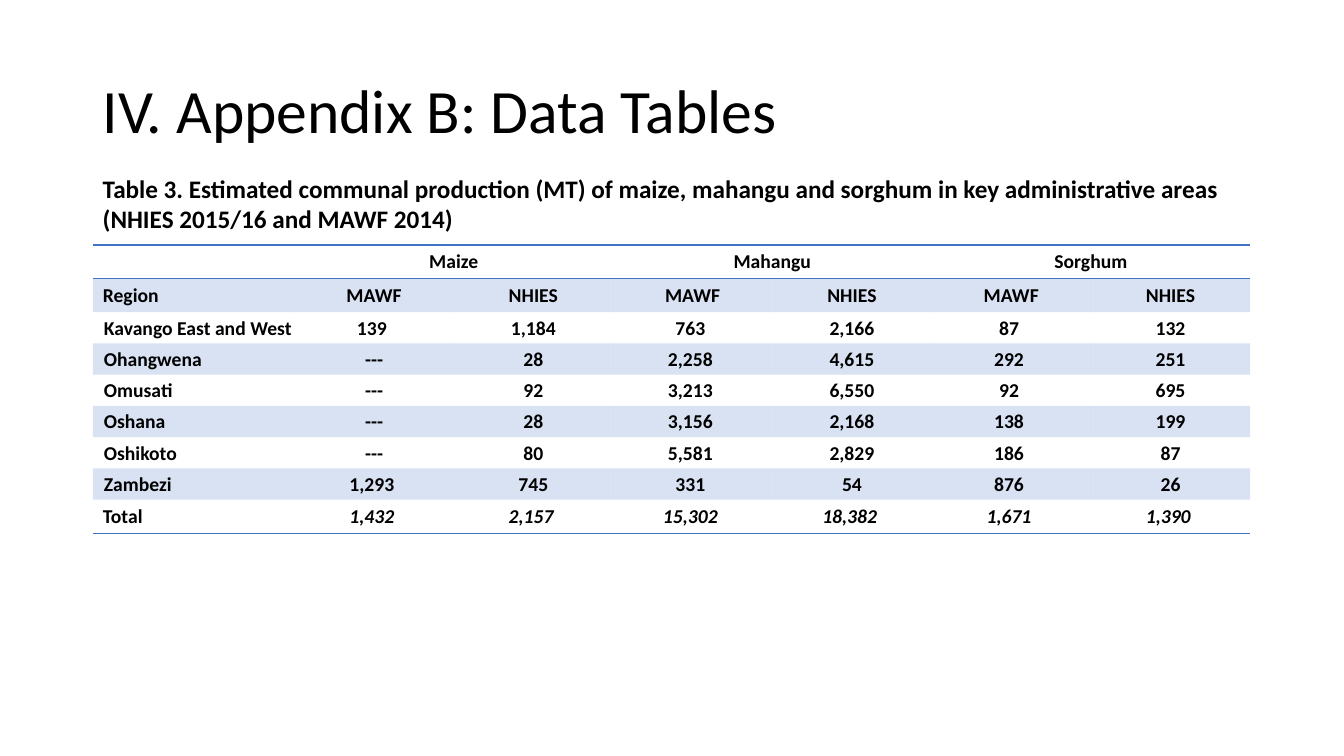
from dataclasses import dataclass

from lxml.etree import SubElement
from pptx import Presentation
from pptx.dml.color import RGBColor
from pptx.enum.text import MSO_ANCHOR as Anchor, PP_ALIGN as Align
from pptx.oxml.ns import qn
from pptx.util import Inches, Pt

FONT = "Calibri"
BLACK = RGBColor(0x00, 0x00, 0x00)
BLUE = RGBColor(0x44, 0x72, 0xC4)
BAND_ALPHA = 20
NO_STYLE = "{2D5ABB26-0587-4C30-8999-92F81FD0307C}"


@dataclass
class Label:
    text: str
    top: float
    width: float
    height: float
    size: int
    bold: bool = False
    anchor: Anchor = Anchor.TOP
    spacing: float = 1.0


LABELS = [
    Label("IV. Appendix B: Data Tables", 0.4, 11.5, 1.45, 44,
          anchor=Anchor.MIDDLE, spacing=0.9),
    Label("Table 3. Estimated communal production (MT) of maize, mahangu and sorghum "
          "in key administrative areas (NHIES 2015/16 and MAWF 2014)",
          1.67, 11.42, 0.71, 18, bold=True),
]

LEFT, TABLE_TOP, ROW_HEIGHT = 0.92, 2.43, 0.31
COL_WIDTHS = [2.0] + [1.58] * 6
ROWS = [
    ["", "Maize", "", "Mahangu", "", "Sorghum", ""],
    ["Region"] + ["MAWF", "NHIES"] * 3,
    ["Kavango East and West", "139 ", "1,184", "763 ", "2,166", "87 ", "132"],
    ["Ohangwena", " --- ", "28", "2,258 ", "4,615", "292 ", "251"],
    ["Omusati", " --- ", "92", "3,213 ", "6,550", "92 ", "695"],
    ["Oshana", " --- ", "28", "3,156 ", "2,168", "138 ", "199"],
    ["Oshikoto", " --- ", "80", "5,581 ", "2,829", "186 ", "87"],
    ["Zambezi", "1,293 ", "745", "331 ", "54", "876 ", "26"],
    ["Total", "1,432 ", "2,157 ", "15,302 ", "18,382 ", "1,671 ", "1,390 "],
]
LAST = len(ROWS) - 1


def add_run(p, text: str, size: int, bold: bool, italic: bool = False) -> None:
    r = p.add_run()
    r.text = text
    r.font.name, r.font.size = FONT, Pt(size)
    r.font.bold, r.font.italic = bold, italic
    r.font.color.rgb = BLACK


def add_label(slide, label: Label) -> None:
    box = slide.shapes.add_textbox(Inches(LEFT), Inches(label.top),
                                   Inches(label.width), Inches(label.height))
    tf = box.text_frame
    tf.word_wrap = True
    tf.vertical_anchor = label.anchor
    p = tf.paragraphs[0]
    p.line_spacing = label.spacing
    add_run(p, label.text, label.size, label.bold)


def add_border(cell, side: str) -> None:
    ln = SubElement(cell._tc.get_or_add_tcPr(), qn(f"a:{side}"), w=str(Pt(1)))
    fill = SubElement(ln, qn("a:solidFill"))
    SubElement(fill, qn("a:srgbClr"), val=str(BLUE))


def fill_band(cell) -> None:
    cell.fill.solid()
    cell.fill.fore_color.rgb = BLUE
    color = cell._tc.tcPr.find(".//" + qn("a:solidFill") + "/" + qn("a:srgbClr"))
    SubElement(color, qn("a:alpha"), val=str(BAND_ALPHA * 1000))


def fill_cell(cell, row: int, col: int, text: str) -> None:
    # Rules above and below the header, and under the total
    if row == 0:
        add_border(cell, "lnT")
    if row in (0, LAST):
        add_border(cell, "lnB")
    if row % 2:
        fill_band(cell)
    else:
        cell.fill.background()

    # Data cells have tight margins; region names keep the usual indent
    cell.vertical_anchor = Anchor.TOP if row == 0 else Anchor.MIDDLE
    if row > 1 and (row, col) != (LAST, 0):
        cell.margin_left = Inches(0.11 if col == 0 else 0.01)
        cell.margin_right = cell.margin_top = Inches(0.01)
        cell.margin_bottom = 0

    p = cell.text_frame.paragraphs[0]
    p.alignment = Align.CENTER if col else Align.LEFT
    if text:
        add_run(p, text, 14, True, italic=row == LAST and col > 0)
    else:
        SubElement(p._p, qn("a:endParaRPr"), sz="1400")


def add_production_table(slide) -> None:
    frame = slide.shapes.add_table(
        len(ROWS), len(COL_WIDTHS), Inches(LEFT), Inches(TABLE_TOP),
        Inches(sum(COL_WIDTHS)), Inches(ROW_HEIGHT * len(ROWS)))
    table = frame.table
    table.first_row = table.horz_banding = False
    table._tbl.tblPr.find(qn("a:tableStyleId")).text = NO_STYLE
    for column, width in zip(table.columns, COL_WIDTHS):
        column.width = Inches(width)
    for i, texts in enumerate(ROWS):
        table.rows[i].height = Inches(ROW_HEIGHT)
        for j, text in enumerate(texts):
            fill_cell(table.cell(i, j), i, j, text)
    # Each crop heading spans its two sources
    for j in (1, 3, 5):
        table.cell(0, j).merge(table.cell(0, j + 1))


def main() -> None:
    prs = Presentation()
    prs.slide_width, prs.slide_height = Inches(13.33), Inches(7.5)
    s = prs.slides.add_slide(prs.slide_layouts[6])
    for label in LABELS:
        add_label(s, label)
    add_production_table(s)
    prs.save("out.pptx")


if __name__ == "__main__":
    main()
